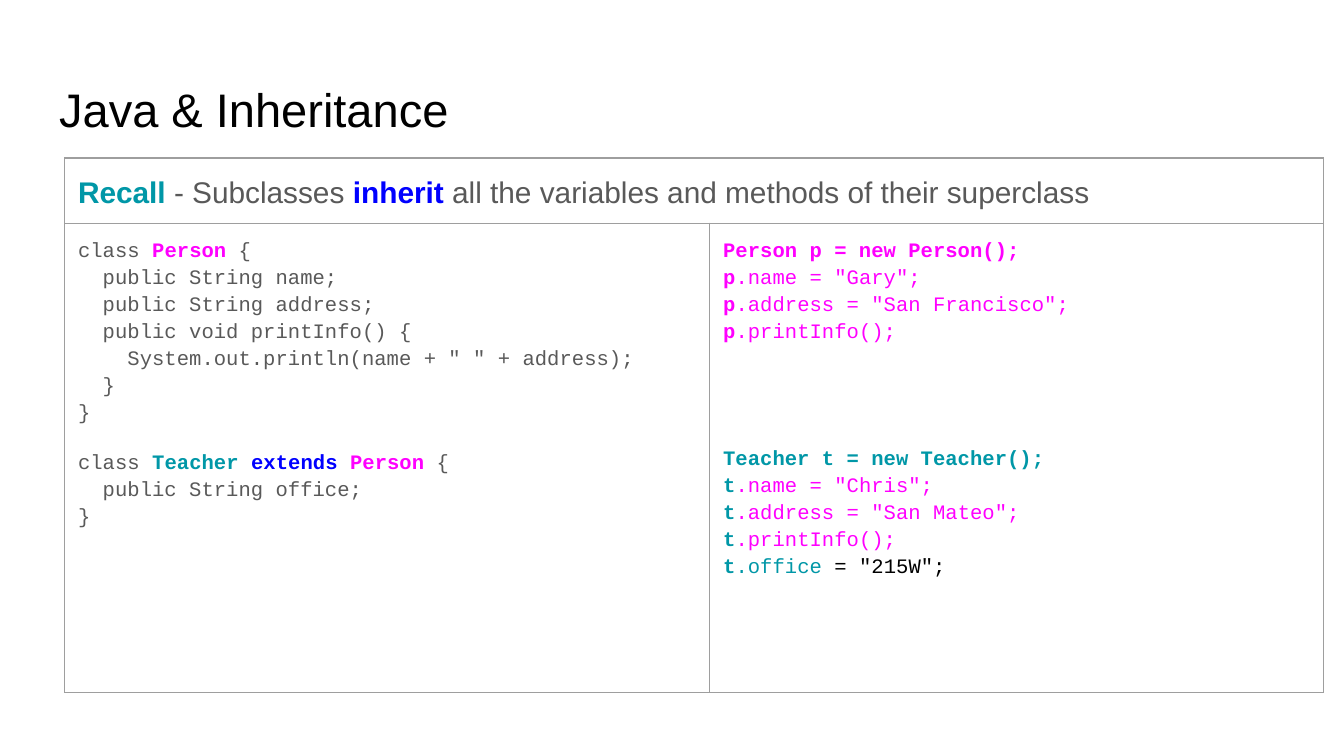
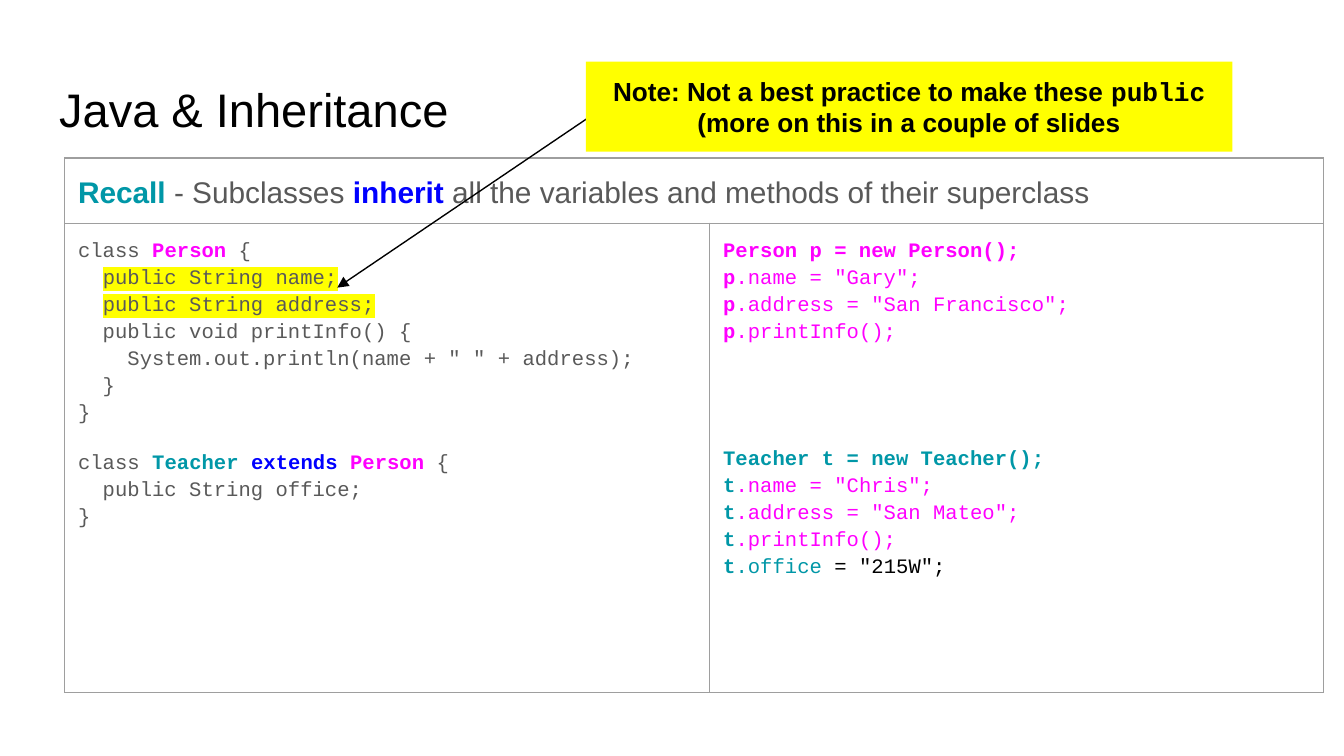
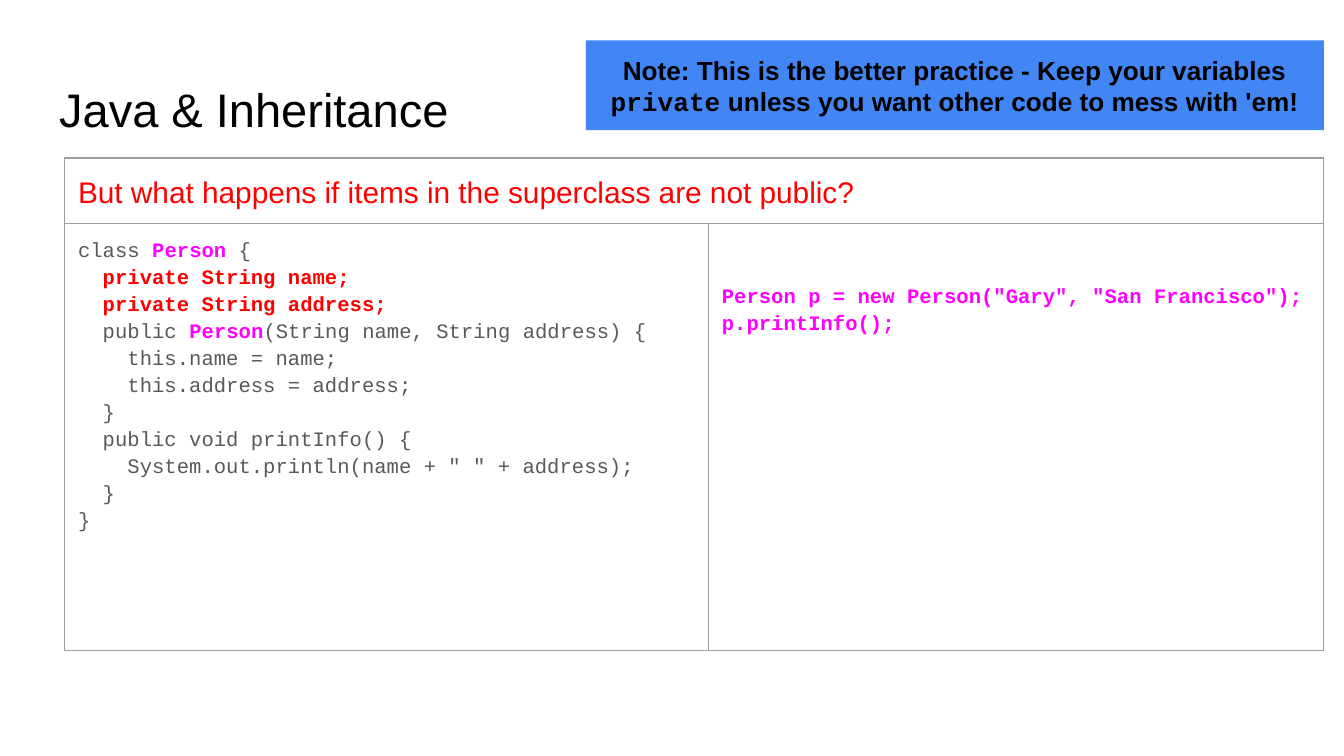
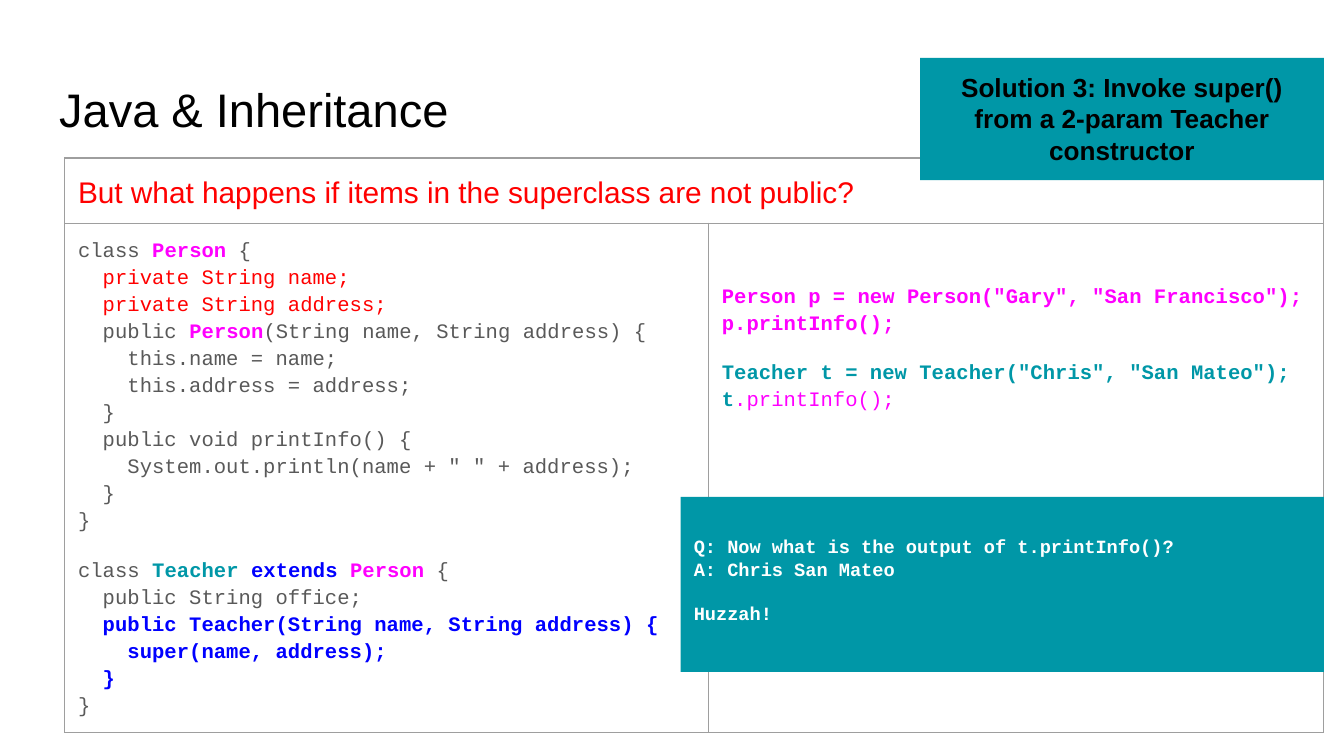
from dataclasses import dataclass

from lxml.etree import SubElement
from pptx import Presentation
from pptx.dml.color import RGBColor
from pptx.enum.shapes import MSO_CONNECTOR, MSO_SHAPE
from pptx.enum.text import MSO_ANCHOR, MSO_AUTO_SIZE, PP_ALIGN
from pptx.oxml import parse_xml
from pptx.oxml.ns import nsdecls, qn
from pptx.util import Pt


@dataclass(frozen=True)
class Theme:
    sans: str = "Arial"
    mono: str = "Courier New"
    title_size: float = 25.2
    lead_size: float = 16
    note_size: float = 14
    code_size: float = 11
    answer_size: float = 10
    black: str = "000000"
    white: str = "FFFFFF"
    grey: str = "595959"
    border: str = "9E9E9E"
    teal: str = "0097A7"
    blue: str = "0000FF"
    magenta: str = "FF00FF"
    red: str = "FF0000"
    yellow: str = "FFFF00"
    note_blue: str = "4285F4"
    inset: float = 7.2
    line: float = 0.75


@dataclass(frozen=True)
class Style:
    color: str
    bold: bool = False
    font: str = ""
    highlight: str = ""


THEME = Theme()
PLAIN = Style(THEME.grey)
MARKED = Style(THEME.grey, highlight=THEME.yellow)
PARENT = Style(THEME.magenta, True)
INHERITED = Style(THEME.magenta)
CHILD = Style(THEME.teal, True)
OWN = Style(THEME.teal)
KEYWORD = Style(THEME.blue, True)
HIDDEN = Style(THEME.red)
HIDDEN_BOLD = Style(THEME.red, True)
VALUE = Style(THEME.black)
NOTE = Style(THEME.black, True)
NOTE_CODE = Style(THEME.black, True, THEME.mono)
ANSWER = Style(THEME.white, True)


@dataclass
class Para:
    runs: list
    before: float = 0


class Deck:
    def __init__(self, theme):
        self.theme = theme
        self.prs = Presentation()
        self.prs.slide_width, self.prs.slide_height = Pt(720), Pt(405)
        self.slide = None

    def add_slide(self, title):
        self.slide = self.prs.slides.add_slide(self.prs.slide_layouts[5])
        heading = self.slide.shapes.title
        heading.left, heading.top = Pt(24.5), Pt(35.3)
        heading.width, heading.height = Pt(671), Pt(45.4)
        self.frame(heading.text_frame, MSO_ANCHOR.MIDDLE)
        self.set_text(heading.text_frame, [Para([(title, VALUE)])],
                      self.theme.sans, self.theme.title_size)

    def frame(self, frame, anchor, top=None):
        frame.word_wrap = True
        frame.auto_size = MSO_AUTO_SIZE.NONE
        frame.vertical_anchor = anchor
        self.margins(frame, top)

    def margins(self, holder, top=None):
        inset = Pt(self.theme.inset)
        holder.margin_left = holder.margin_right = holder.margin_bottom = inset
        holder.margin_top = inset if top is None else Pt(top)

    def set_text(self, frame, paras, font, size, align=PP_ALIGN.LEFT, spacing=None):
        for index, para in enumerate(paras):
            paragraph = frame.paragraphs[0] if index == 0 else frame.add_paragraph()
            paragraph.alignment = align
            paragraph.space_before = Pt(para.before)
            if spacing:
                paragraph.line_spacing = spacing
            base = para.runs[0][1]
            paragraph.font.name, paragraph.font.size = font, Pt(size)
            self.paint(paragraph.font, base)
            for text, style in para.runs:
                self.add_run(paragraph, text, style, base)

    def add_run(self, paragraph, text, style, base):
        for index, line in enumerate(text.split("\n")):
            if index:
                paragraph.add_line_break()
            if not line:
                continue
            run = paragraph.add_run()
            run.text = line
            if style != base:
                self.paint(run.font, style)
            if style.highlight:
                fill = run._r.get_or_add_rPr().find(qn("a:solidFill"))
                fill.addnext(parse_xml(
                    f'<a:highlight {nsdecls("a")}>'
                    f'<a:srgbClr val="{style.highlight}"/></a:highlight>'))

    def paint(self, font, style):
        font.bold = style.bold
        font.color.rgb = RGBColor.from_string(style.color)
        if style.font:
            font.name = style.font

    def code_table(self, lead, classes, usage, left_width, height, usage_top=None):
        """A lead sentence over two columns: class definitions and their use."""
        total, lead_height = 674.6, 21
        table = self.slide.shapes.add_table(
            2, 2, Pt(34.6), Pt(84.7), Pt(total), Pt(lead_height + height)).table
        table.first_row = table.horz_banding = False
        for column, width in zip(table.columns, (left_width, total - left_width)):
            column.width = Pt(width)
        for row, row_height in zip(table.rows, (lead_height, height)):
            row.height = Pt(row_height)
        for cell in table.iter_cells():
            self.margins(cell)
            cell.fill.background()
            self.border(cell)
        table.cell(0, 0).merge(table.cell(0, 1))
        self.set_text(table.cell(0, 0).text_frame, [Para(lead)],
                      self.theme.sans, self.theme.lead_size, spacing=1.15)
        self.margins(table.cell(1, 1), usage_top)
        for column, paras in enumerate((classes, usage)):
            self.set_text(table.cell(1, column).text_frame, paras,
                          self.theme.mono, self.theme.code_size, spacing=1.15)

    def border(self, cell):
        properties = cell._tc.get_or_add_tcPr()
        for index, side in enumerate(("lnL", "lnR", "lnT", "lnB")):
            properties.insert(index, parse_xml(
                f'<a:{side} {nsdecls("a")} w="{Pt(self.theme.line)}"><a:solidFill>'
                f'<a:srgbClr val="{self.theme.border}"/></a:solidFill></a:{side}>'))

    def box(self, left, top, width, height, fill, paras, font, size,
            align=PP_ALIGN.CENTER, anchor=MSO_ANCHOR.MIDDLE, text_top=None):
        panel = self.slide.shapes.add_shape(
            MSO_SHAPE.RECTANGLE, Pt(left), Pt(top), Pt(width), Pt(height))
        panel.shadow.inherit = False
        panel.fill.solid()
        panel.fill.fore_color.rgb = RGBColor.from_string(fill)
        panel.line.fill.background()
        self.frame(panel.text_frame, anchor, text_top)
        self.set_text(panel.text_frame, paras, font, size, align)
        return panel

    def note(self, left, top, width, height, fill, runs, anchor=MSO_ANCHOR.MIDDLE):
        return self.box(left, top, width, height, fill, [Para(runs)],
                        self.theme.sans, self.theme.note_size, anchor=anchor)

    def pointer(self, tip, tail):
        arrow = self.slide.shapes.add_connector(
            MSO_CONNECTOR.STRAIGHT, *(Pt(value) for value in (*tip, *tail)))
        arrow.line.color.rgb = RGBColor.from_string(self.theme.black)
        arrow.line.width = Pt(self.theme.line)
        SubElement(arrow.line._get_or_add_ln(), qn("a:headEnd"), type="triangle")
        SubElement(arrow._element.spPr, qn("a:effectLst"))


# Content shared by several slides
TITLE = "Java & Inheritance"
RECALL = [("Recall", CHILD), (" - Subclasses ", PLAIN), ("inherit", KEYWORD),
          (" all the variables and methods of their superclass", PLAIN)]
QUESTION = [("But what happens if items in the superclass are not public?", HIDDEN)]
PRINT_INFO = ('  public void printInfo() {\n'
              '    System.out.println(name + " " + address);\n  }\n}')
TEACHER_HEAD = [("class ", PLAIN), ("Teacher ", CHILD), ("extends ", KEYWORD),
                ("Person", PARENT), (" {\n  public String office;\n", PLAIN)]
TEACHER = Para(TEACHER_HEAD + [("}", PLAIN)], before=12)
TEACHER_WITH_SUPER = Para(TEACHER_HEAD + [
    ("  public Teacher(String name, String address) {\n"
     "    super(name, address);\n  }\n", KEYWORD),
    ("}", PLAIN)], before=12)
PUBLIC_USAGE = [
    Para([("Person p = new Person();\np", PARENT), ('.name = "Gary";\n', INHERITED),
          ("p", PARENT), ('.address = "San Francisco";\n', INHERITED),
          ("p", PARENT), (".printInfo();", INHERITED)]),
    Para([("Teacher t = new Teacher();\nt", CHILD), ('.name = "Chris";\n', INHERITED),
          ("t", CHILD), ('.address = "San Mateo";\n', INHERITED),
          ("t", CHILD), (".printInfo();\n", INHERITED),
          ("t", CHILD), (".office", OWN), (' = "215W";', VALUE)], before=53.6),
]
PERSON_USAGE = Para([('Person p = new Person("Gary", "San Francisco");\n'
                      'p.printInfo();', PARENT)])
TEACHER_USAGE = Para([('Teacher t = new Teacher("Chris", "San Mateo");\nt', CHILD),
                      (".printInfo();", INHERITED)], before=12)
PUBLIC_LAYOUT = dict(left_width=345.6, height=251.3)
PRIVATE_LAYOUT = dict(left_width=344.9, height=229, usage_top=31.8)


def public_person(field_style):
    runs = [("class ", PLAIN), ("Person", PARENT), (" {\n", PLAIN)]
    for field in ("name", "address"):
        runs += [("  ", PLAIN), (f"public String {field};", field_style), ("\n", PLAIN)]
    return Para(runs + [(PRINT_INFO, PLAIN)])


def private_person(field_style):
    return Para([
        ("class ", PLAIN), ("Person", PARENT), (" {\n", PLAIN),
        ("  private String name;\n  private String address;\n", field_style),
        ("  public ", PLAIN), ("Person", PARENT),
        ("(String name, String address) {\n    this.name = name;\n"
         "    this.address = address;\n  }\n" + PRINT_INFO, PLAIN)])


def main():
    deck = Deck(THEME)

    # Slide 1: inheriting public members
    deck.add_slide(TITLE)
    deck.code_table(RECALL, [public_person(PLAIN), TEACHER], PUBLIC_USAGE,
                    **PUBLIC_LAYOUT)

    # Slide 2: the public fields called out
    deck.add_slide(TITLE)
    deck.code_table(RECALL, [public_person(MARKED), TEACHER], PUBLIC_USAGE,
                    **PUBLIC_LAYOUT)
    deck.pointer(tip=(180.7, 154.1), tail=(319, 60.5))
    deck.note(313.9, 33.1, 346.3, 48.2, THEME.yellow, [
        ("Note: Not a best practice to make these ", NOTE), ("public", NOTE_CODE),
        (" (more on this in a couple of slides", NOTE)])

    # Slide 3: private fields
    deck.add_slide(TITLE)
    deck.code_table(QUESTION, [private_person(HIDDEN_BOLD)], [PERSON_USAGE],
                    **PRIVATE_LAYOUT)
    deck.note(313.9, 21.6, 395.3, 48.2, THEME.note_blue, [
        ("Note: This is the better practice - Keep your variables ", NOTE),
        ("private", NOTE_CODE),
        (" unless you want other code to mess with 'em!", NOTE)])

    # Slide 4: calling the superclass constructor
    deck.add_slide(TITLE)
    deck.code_table(QUESTION, [private_person(HIDDEN), TEACHER_WITH_SUPER],
                    [PERSON_USAGE, TEACHER_USAGE], **PRIVATE_LAYOUT)
    solution = deck.note(492.9, 31, 216.4, 65.5, THEME.teal, [
        ("Solution 3: Invoke super() from a 2-param Teacher constructor", NOTE)],
        anchor=MSO_ANCHOR.TOP)
    solution.text_frame.auto_size = MSO_AUTO_SIZE.SHAPE_TO_FIT_TEXT
    deck.box(364.6, 266.2, 344.6, 93.8, THEME.teal, [
        Para([("Q: Now what is the output of t.printInfo()?\n"
               "A: Chris San Mateo", ANSWER)]),
        Para([("Huzzah!", ANSWER)], before=12)],
        THEME.mono, THEME.answer_size, align=PP_ALIGN.LEFT,
        anchor=MSO_ANCHOR.TOP, text_top=20.4)

    deck.prs.save("out.pptx")


if __name__ == "__main__":
    main()
